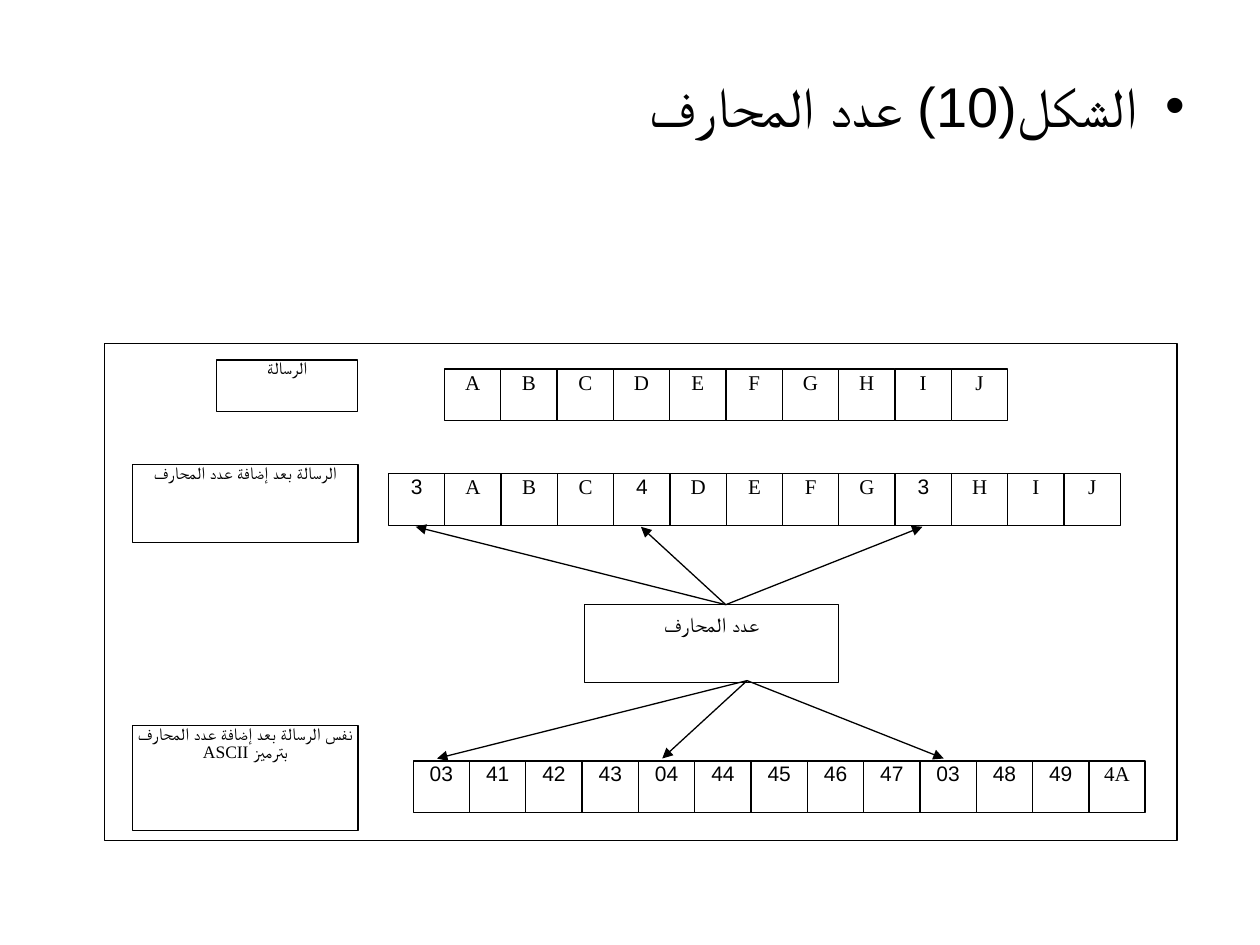
"""Build a slide showing the character count framing method."""
from lxml import etree
from pptx import Presentation
from pptx.dml.color import RGBColor
from pptx.enum import shapes, text
from pptx.oxml.ns import qn
from pptx.util import Cm, Pt

COLORS = {"ink": "000000", "paper": "FFFFFF"}
LATIN_FONT, ARABIC_FONT = "Times New Roman", "Arial"
TITLE = "الشكل(10) عدد المحارف"
FRAME = (2.11, 6.93, 21.62, 10.01)
CELL_WIDTH, CELL_HEIGHT = 1.135, 1.04
ROWS = [
    (8.96, 7.44, "A B C D E F G H I J"),
    (7.83, 9.55, "3 A B C 4 D E F G 3 H I J"),
    (8.33, 15.34, "03 41 42 43 04 44 45 46 47 03 48 49 4A"),
]
LABELS = [
    ((4.37, 7.26, 2.84, 1.04), "الرسالة"),
    ((2.67, 9.37, 4.55, 1.57), "الرسالة بعد إضافة عدد المحارف"),
    ((2.67, 14.63, 4.55, 2.11), "نفس الرسالة بعد إضافة عدد المحارف بترميز ASCII"),
]
COUNT_BOX = ((11.79, 12.19, 5.11, 1.57), "عدد المحارف")
COUNT_POSITIONS = (9, 4, 0)
ARROW_FANS = [
    {"start": (14.63, 12.19), "first_tip": (8.38, 10.62)},
    {"start": (15.06, 13.72), "first_tip": (8.81, 15.29)},
]


def color(name):
    return RGBColor.from_string(COLORS[name])


def style_paragraph(paragraph, size, latin, alignment):
    paragraph.alignment = alignment
    properties = paragraph._p.get_or_add_pPr()
    properties.set("rtl", "1")
    font = paragraph.font
    font.size, font.name = Pt(size), latin
    font.color.rgb = color("ink")
    defaults = properties.find(qn("a:defRPr"))
    etree.SubElement(defaults, qn("a:cs")).set("typeface", ARABIC_FONT)


def set_margins(frame, horizontal, vertical):
    frame.margin_left = frame.margin_right = Cm(horizontal)
    frame.margin_top = frame.margin_bottom = Cm(vertical)


def add_title(slide):
    frame = slide.shapes.add_textbox(Cm(1.27), Cm(1.32), Cm(22.86), Cm(15.7)).text_frame
    frame.word_wrap = True
    set_margins(frame, 0.25, 0.13)
    paragraph = frame.paragraphs[0]
    paragraph.text = TITLE
    properties = paragraph._p.get_or_add_pPr()
    properties.set("marL", str(Cm(0.96)))
    properties.set("indent", str(-Cm(0.96)))
    etree.SubElement(properties, qn("a:buFont")).set("typeface", ARABIC_FONT)
    etree.SubElement(properties, qn("a:buChar")).set("char", "•")
    style_paragraph(paragraph, 32, ARABIC_FONT, text.PP_ALIGN.RIGHT)


def add_box(slide, place, words, size=12, margins=(0, 0), spacing=None):
    box = slide.shapes.add_shape(shapes.MSO_SHAPE.RECTANGLE, *map(Cm, place))
    box.shadow.inherit = False
    box.line.color.rgb, box.line.width = color("ink"), Pt(0.75)
    if not words:
        box.fill.background()
        return
    box.fill.solid()
    box.fill.fore_color.rgb = color("paper")
    frame = box.text_frame
    frame.word_wrap = True
    frame.vertical_anchor = text.MSO_ANCHOR.TOP
    set_margins(frame, *margins)
    paragraph = frame.paragraphs[0]
    paragraph.text = words
    paragraph.line_spacing = spacing
    style_paragraph(paragraph, size, LATIN_FONT, text.PP_ALIGN.CENTER)


def add_arrow(slide, start, end):
    arrow = slide.shapes.add_connector(
        shapes.MSO_CONNECTOR.STRAIGHT, *map(Cm, (*start, *end)))
    arrow.line.color.rgb, arrow.line.width = color("ink"), Pt(0.75)
    etree.SubElement(arrow.line._get_or_add_ln(), qn("a:tailEnd")).set("type", "triangle")
    etree.SubElement(arrow._element.spPr, qn("a:effectLst"))


def main():
    presentation = Presentation()
    presentation.slide_width, presentation.slide_height = Cm(25.4), Cm(19.05)
    slide = presentation.slides.add_slide(presentation.slide_layouts[6])
    add_title(slide)
    add_box(slide, FRAME, "")
    for left, top, characters in ROWS:
        for index, character in enumerate(characters.split()):
            place = (left + index * CELL_WIDTH, top, CELL_WIDTH, CELL_HEIGHT)
            add_box(slide, place, character)
    add_box(slide, *COUNT_BOX, margins=(0.25, 0.13))
    for fan in ARROW_FANS:
        tip_left, tip_top = fan["first_tip"]
        for position in COUNT_POSITIONS:
            add_arrow(slide, fan["start"], (tip_left + position * CELL_WIDTH, tip_top))
    for place, words in LABELS:
        add_box(slide, place, words, size=10, spacing=0.88)
    presentation.save("out.pptx")


if __name__ == "__main__":
    main()
